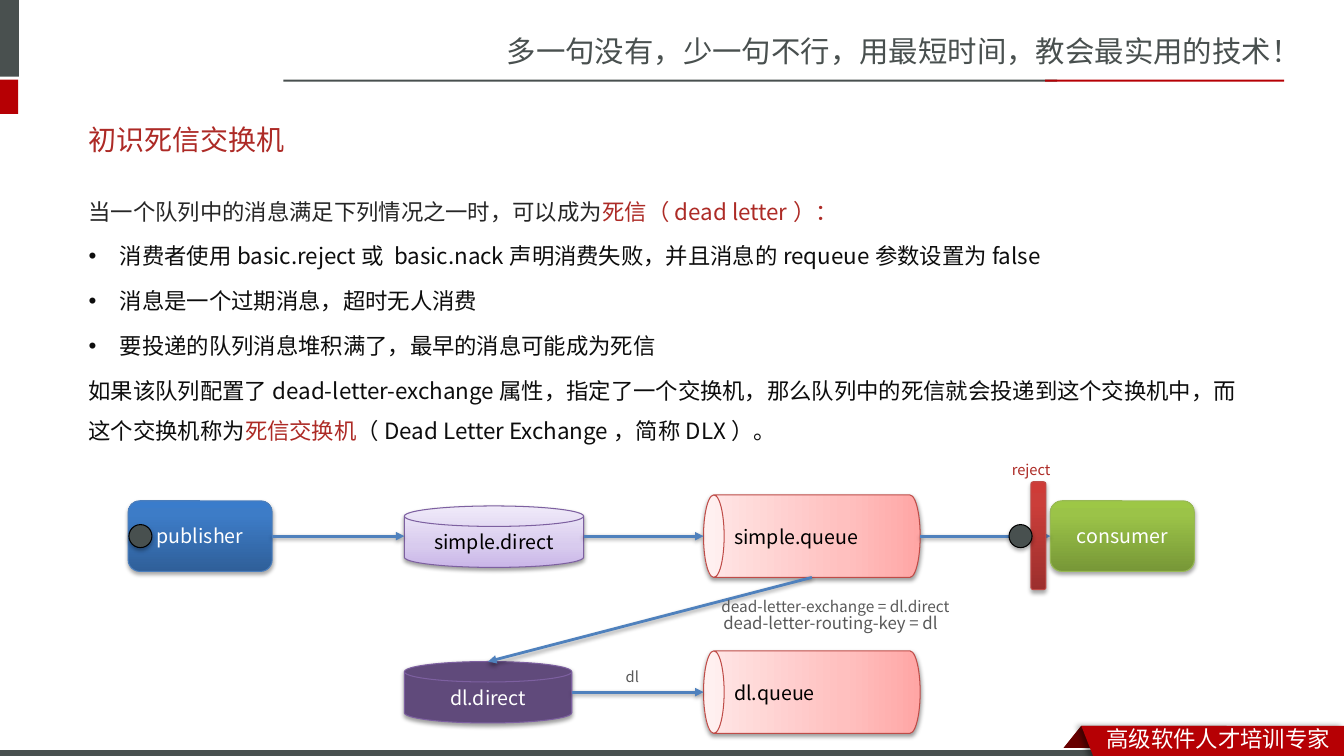
from lxml import etree
from pptx import Presentation
from pptx import util as u
from pptx.dml.color import RGBColor
from pptx.enum import shapes, text
from pptx.oxml.ns import qn

FONT = "Noto Sans CJK SC"
WHITE = RGBColor(0xFF, 0xFF, 0xFF)
BLACK = RGBColor(0, 0, 0)
SLATE = RGBColor(0x49, 0x50, 0x4F)
DOT = RGBColor(0x48, 0x50, 0x4F)
RED = RGBColor(0xB6, 0x00, 0x04)
DARK_RED = RGBColor(0x68, 0x00, 0x00)
TITLE_RED = RGBColor(0xAD, 0x2A, 0x26)
TERM_RED = RGBColor(0xAD, 0x2B, 0x26)
INTRO = RGBColor(0x26, 0x26, 0x26)
INK = RGBColor(0x0D, 0x0D, 0x0D)
GRAY = RGBColor(0x59, 0x59, 0x59)
ARROW = RGBColor(0x4F, 0x81, 0xBD)
BLUE_LINE = RGBColor(0x4B, 0x7E, 0xBC)
GREEN_LINE = RGBColor(0x98, 0xB9, 0x55)
RED_LINE = RGBColor(0xBF, 0x4C, 0x48)
PURPLE = RGBColor(0x60, 0x4A, 0x7B)
PURPLE_LINE = RGBColor(0x7D, 0x60, 0xA0)
# Gradient stops: (percent, colour)
BLUES = [(0, RGBColor(0x2F, 0x5F, 0x99)), (80, RGBColor(0x3D, 0x7C, 0xC7)), (100, RGBColor(0x3A, 0x7C, 0xCB))]
GREENS = [(0, RGBColor(0x77, 0x97, 0x37)), (80, RGBColor(0x9B, 0xC3, 0x48)), (100, RGBColor(0x9D, 0xC7, 0x46))]
REDS = [(0, RGBColor(0x9C, 0x2F, 0x2D)), (80, RGBColor(0xCB, 0x3E, 0x3A)), (100, RGBColor(0xCE, 0x3B, 0x37))]
PINKS = [(0, RGBColor(0xFF, 0xA6, 0xA5)), (35, RGBColor(0xFF, 0xC0, 0xBF)), (100, RGBColor(0xFF, 0xE7, 0xE7))]
LILACS = [(0, RGBColor(0xC9, 0xB5, 0xE8)), (35, RGBColor(0xD8, 0xCB, 0xEE)), (100, RGBColor(0xF0, 0xEA, 0xF9))]
SHAPE = shapes.MSO_SHAPE
# Shadows: alpha percent, blur pt, distance pt, direction degrees
STRONG, SOFT, RIBBON = (35, 3.1, 1.8, 90), (38, 3.1, 1.6, 90), (40, 4, 3, 180)


def add_run(p, words, size, color):
    r = p.add_run()
    r.text = words
    r.font.size, r.font.name, r.font.color.rgb = u.Pt(size), FONT, color
    etree.SubElement(r._r.get_or_add_rPr(), qn("a:ea"), typeface=FONT)


def add_shadow(spPr, shadow):
    effects = spPr.find(qn("a:effectLst"))
    if effects is None:
        effects = etree.SubElement(spPr, qn("a:effectLst"))
    if shadow:
        alpha, blur, dist, angle = shadow
        outer = etree.SubElement(effects, qn("a:outerShdw"), blurRad=str(u.Pt(blur)), dist=str(u.Pt(dist)),
                                 dir=str(angle * 60000), rotWithShape="0")
        clr = etree.SubElement(outer, qn("a:srgbClr"), val=str(BLACK))
        etree.SubElement(clr, qn("a:alpha"), val=str(alpha * 1000))


def paint(sp, fill, line=None, shadow=None):
    if isinstance(fill, list):
        sp.fill.gradient()
        sp.fill.gradient_angle = 90
        stops = sp._element.spPr.find(qn("a:gradFill")).find(qn("a:gsLst"))
        for stop in list(stops):
            stops.remove(stop)
        for pos, color in fill:
            gs = etree.SubElement(stops, qn("a:gs"), pos=str(pos * 1000))
            etree.SubElement(gs, qn("a:srgbClr"), val=str(color))
    else:
        sp.fill.solid()
        sp.fill.fore_color.rgb = fill
    if line is None:
        sp.line.fill.background()
    else:
        sp.line.color.rgb, sp.line.width = line, u.Pt(0.75)
    sp.shadow.inherit = False
    add_shadow(sp._element.spPr, shadow)


def add_block(s, kind, x, y, w, h, fill, line=None, shadow=None, words=None, color=WHITE):
    sp = s.shapes.add_shape(kind, u.Cm(x), u.Cm(y), u.Cm(w), u.Cm(h))
    paint(sp, fill, line, shadow)
    if words:
        tf = sp.text_frame
        tf.vertical_anchor = text.MSO_ANCHOR.MIDDLE
        tf.paragraphs[0].alignment = text.PP_ALIGN.CENTER
        add_run(tf.paragraphs[0], words, 14, color)
    return sp


def add_label(s, x, y, w, h, words, size, color):
    tf = s.shapes.add_textbox(u.Cm(x), u.Cm(y), u.Cm(w), u.Cm(h)).text_frame
    tf.word_wrap = True
    add_run(tf.paragraphs[0], words, size, color)


def add_arrow(s, x1, y1, x2, y2):
    c = s.shapes.add_connector(shapes.MSO_CONNECTOR.STRAIGHT, u.Cm(x1), u.Cm(y1), u.Cm(x2), u.Cm(y2))
    c.line.color.rgb, c.line.width = ARROW, u.Pt(2)
    etree.SubElement(c.line._get_or_add_ln(), qn("a:tailEnd"), type="triangle")
    add_shadow(c._element.spPr, SOFT)
    return c


def add_queue(s, x, mid, w, h, words):
    # An upright can turned on its side
    sp = add_block(s, SHAPE.CAN, x + (w - h) / 2, mid - w / 2, h, w, PINKS, RED_LINE, SOFT, words, BLACK)
    sp.rotation = 270
    sp.text_frame._txBody.bodyPr.set("vert", "eaVert")


def header(s, x, y):
    add_label(s, x + 12.52, y + 0.71, 21.36, 1.19, "多一句没有，少一句不行，用最短时间，教会最实用的技术！", 21, SLATE)
    for dx, dy, w, h, color in [(-0.15, 0, 0.63, 1.93, SLATE), (-0.15, 2.01, 0.61, 0.86, RED),
                                (7.14, 2.01, 19.5, 0.05, SLATE), (26.34, 2.01, 6.02, 0.05, RED)]:
        add_block(s, SHAPE.RECTANGLE, x + dx, y + dy, w, h, color)


def footer(s, x, y):
    fold = add_block(s, SHAPE.PARALLELOGRAM, x + 26.64, y + 0.13, 4.27, 0.76, DARK_RED)
    fold.adjustments[0] = 0.8
    add_block(s, SHAPE.RECTANGLE, x, y + 0.69, 33.87, 0.28, WHITE)
    add_block(s, SHAPE.RECTANGLE, x, y + 0.74, 27.91, 0.23, SLATE)
    # Slanted ribbon
    corners = [(27.25, 0.13), (33.87, 0.13), (33.87, 0.99), (27.58, 0.97)]
    points = [(u.Cm(x + dx), u.Cm(y + dy)) for dx, dy in corners]
    fb = s.shapes.build_freeform(*points[0])
    fb.add_line_segments(points[1:], close=True)
    paint(fb.convert_to_shape(), RED, shadow=RIBBON)
    add_label(s, x + 27.64, y, 6.22, 0.94, "高级软件人才培训专家", 16, WHITE)


def title(s, x, y, w, h):
    sp = s.shapes.title
    sp.left, sp.top, sp.width, sp.height = u.Cm(x), u.Cm(y), u.Cm(w), u.Cm(h)
    tf = sp.text_frame
    tf.auto_size = text.MSO_AUTO_SIZE.NONE
    tf.vertical_anchor = text.MSO_ANCHOR.MIDDLE
    tf.paragraphs[0].alignment = text.PP_ALIGN.LEFT
    add_run(tf.paragraphs[0], "初识死信交换机", 20, TITLE_RED)


def body(s, x, y, w, h):
    sp = s.placeholders[1]
    sp.left, sp.top, sp.width, sp.height = u.Cm(x), u.Cm(y), u.Cm(w), u.Cm(h)
    tf = sp.text_frame
    tf.auto_size = text.MSO_AUTO_SIZE.NONE
    # (bulleted, runs)
    lines = [
        (False, [("当一个队列中的消息满足下列情况之一时，可以成为", INTRO), ("死信（dead letter）：", TERM_RED)]),
        (True, [("消费者使用basic.reject或 basic.nack声明消费失败，并且消息的requeue参数设置为false", INK)]),
        (True, [("消息是一个过期消息，超时无人消费", INK)]),
        (True, [("要投递的队列消息堆积满了，最早的消息可能成为死信", INK)]),
        (False, [("如果该队列配置了dead-letter-exchange属性，指定了一个交换机，那么队列中的死信就会投递到这个交换机中，"
                  "而这个交换机称为", INK), ("死信交换机", TERM_RED), ("（Dead Letter Exchange，简称DLX）。", INK)]),
    ]
    for i, (bulleted, runs) in enumerate(lines):
        p = tf.add_paragraph() if i else tf.paragraphs[0]
        p.line_spacing = 1.5
        pPr = p._p.get_or_add_pPr()
        indent = u.Cm(0.79) if bulleted else 0
        pPr.set("marL", str(indent))
        pPr.set("indent", str(-indent))
        if bulleted:
            etree.SubElement(pPr, qn("a:buFont"), typeface="Arial")
            etree.SubElement(pPr, qn("a:buChar"), char="•")
        else:
            etree.SubElement(pPr, qn("a:buNone"))
        for words, color in runs:
            add_run(p, words, 16, color)


def diagram(s, x, y):
    top, low = y + 2.03, y + 5.96
    direct, queue = x + 6.96, x + 14.5
    # Nodes
    publisher = add_block(s, SHAPE.ROUNDED_RECTANGLE, x, top - 0.89, 3.63, 1.78, BLUES, BLUE_LINE, STRONG, "publisher")
    consumer = add_block(s, SHAPE.ROUNDED_RECTANGLE, x + 23.24, top - 0.89, 3.63, 1.78, GREENS, GREEN_LINE,
                         STRONG, "consumer")
    disk = SHAPE.FLOWCHART_MAGNETIC_DISK
    add_block(s, disk, direct, top - 0.76, 4.52, 1.55, LILACS, PURPLE_LINE, SOFT, "simple.direct", BLACK)
    add_block(s, disk, direct, low - 0.77, 4.22, 1.55, PURPLE, PURPLE_LINE, SOFT, "dl.direct")
    for mid, words in [(top, "simple.queue"), (low, "dl.queue")]:
        add_queue(s, queue, mid, 5.46, 2.08, words)
    # Arrows
    add_arrow(s, x + 3.63, top, direct, top).begin_connect(publisher, 3)
    add_arrow(s, direct + 4.52, top, queue, top)
    add_arrow(s, queue + 5.46, top, x + 23.24, top).end_connect(consumer, 1)
    add_arrow(s, direct + 4.22, low, queue, low)
    add_arrow(s, queue + 2.73, top + 1.04, direct + 2.11, low - 0.77)
    # Reject barrier and messages
    add_block(s, SHAPE.ROUNDED_RECTANGLE, x + 22.75, y + 0.66, 0.38, 2.72, REDS, RED_LINE, STRONG)
    for dx in (0.02, 22.2):
        add_block(s, SHAPE.OVAL, x + dx, top - 0.29, 0.58, 0.58, DOT, BLACK, STRONG)
    # Labels
    for dx, dy, w, h, words, size, color in [
            (22.02, 0, 1.85, 0.71, "reject", 10.5, TERM_RED),
            (14.7, 3.43, 8.08, 0.74, "dead-letter-exchange = dl.direct", 11, GRAY),
            (14.75, 3.84, 8.51, 0.79, "dead-letter-routing-key = dl", 12, GRAY),
            (12.29, 5.23, 0.97, 0.71, "dl", 10.5, GRAY)]:
        add_label(s, x + dx, y + dy, w, h, words, size, color)


def main():
    prs = Presentation()
    prs.slide_width, prs.slide_height = u.Cm(33.87), u.Cm(19.05)
    s = prs.slides.add_slide(prs.slide_layouts[1])
    header(s, 0, 0)
    footer(s, 0, 18.16)
    title(s, 1.98, 2.79, 29.72, 1.45)
    body(s, 1.98, 4.52, 29.72, 10.72)
    diagram(s, 3.23, 11.48)
    prs.save("out.pptx")


if __name__ == "__main__":
    main()
